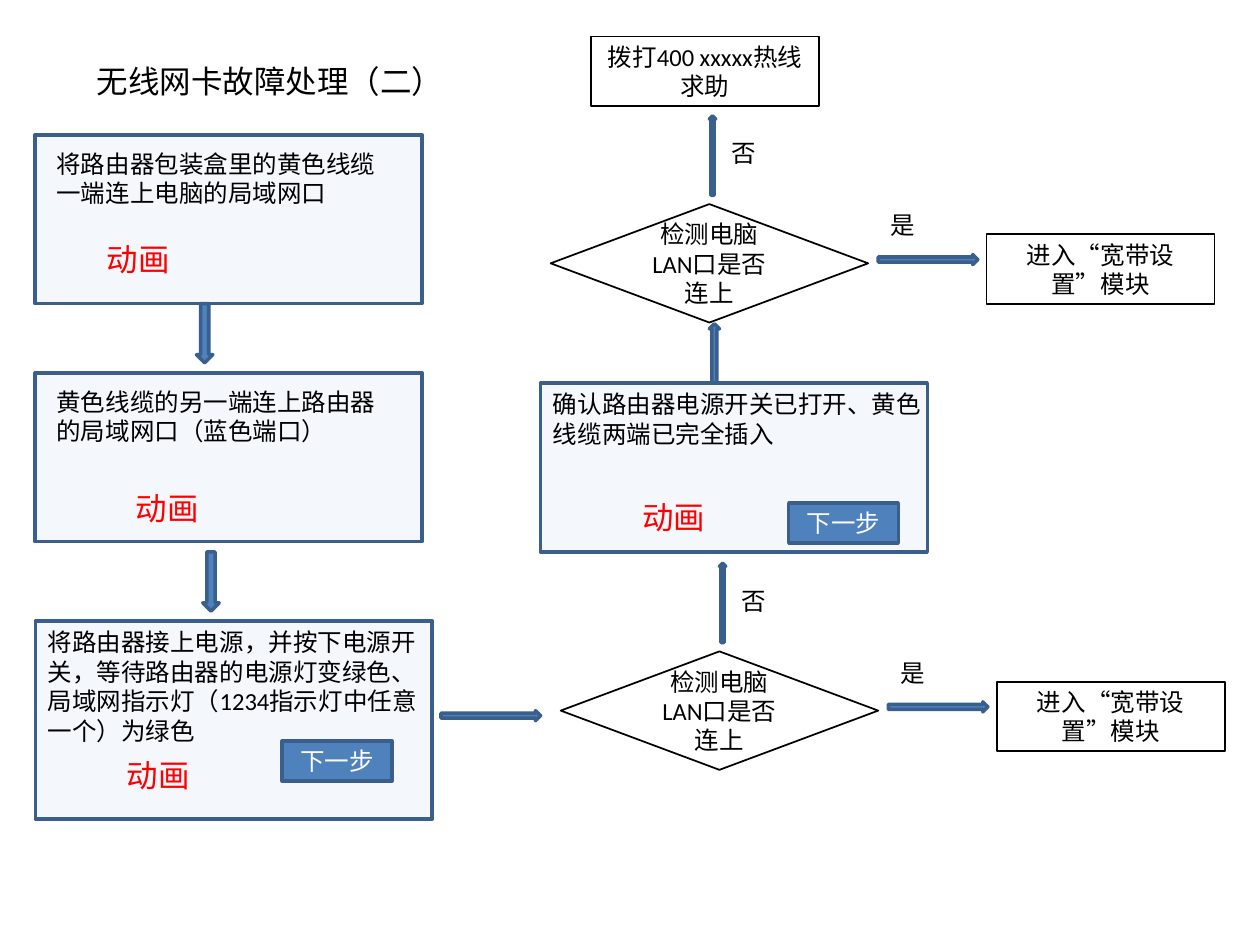
from pptx import Presentation
from pptx.dml.color import RGBColor
from pptx.enum import shapes, text
from pptx.oxml.ns import qn
from pptx.util import Inches, Pt
from lxml import etree

BLACK = RGBColor(0x00, 0x00, 0x00)
WHITE = RGBColor(0xFF, 0xFF, 0xFF)
RED = RGBColor(0xFF, 0x00, 0x00)
BLUE = RGBColor(0x4F, 0x81, 0xBD)
DARK_BLUE = RGBColor(0x3A, 0x5F, 0x8C)
PALE_BLUE = RGBColor(0xC6, 0xD9, 0xF1)
KIND = shapes.MSO_SHAPE

prs = Presentation()
prs.slide_width, prs.slide_height = Inches(10), Inches(7.5)
s = prs.slides.add_slide(prs.slide_layouts[6])


def add_box(kind, x, y, w, h, label="", fill=BLUE, line=DARK_BLUE, width=2, color=WHITE):
    sp = s.shapes.add_shape(kind, Inches(x), Inches(y), Inches(w), Inches(h))
    sp.shadow.inherit = False
    sp.fill.solid()
    sp.fill.fore_color.rgb = fill
    sp.line.color.rgb = line
    sp.line.width = Pt(width)
    if label:
        tf = sp.text_frame
        tf.vertical_anchor = text.MSO_ANCHOR.MIDDLE
        p = tf.paragraphs[0]
        p.text = label
        p.alignment = text.PP_ALIGN.CENTER
        p.font.size, p.font.name = Pt(14), "Calibri"
        p.font.color.rgb = color
    return sp


def add_text(x, y, w, h, label, size=14, color=BLACK):
    tf = s.shapes.add_textbox(Inches(x), Inches(y), Inches(w), Inches(h)).text_frame
    tf.word_wrap = True
    tf.auto_size = text.MSO_AUTO_SIZE.SHAPE_TO_FIT_TEXT
    p = tf.paragraphs[0]
    p.text = label
    p.font.size, p.font.name = Pt(size), "Calibri"
    p.font.color.rgb = color


add_text(0.67, 0.44, 3.62, 0.4, "无线网卡故障处理（二）", size=18)

# Steps: panel, instruction, animation mark
steps = [
    ((0.28, 1.07, 3.07, 1.34), (0.35, 1.13, 2.83, 0.57), (0.75, 1.86),
     "将路由器包装盒里的黄色线缆一端连上电脑的局域网口"),
    ((0.28, 2.96, 3.07, 1.34), (0.35, 3.02, 2.83, 0.57), (0.98, 3.83),
     "黄色线缆的另一端连上路由器的局域网口（蓝色端口）"),
    ((0.28, 4.93, 3.15, 1.57), (0.28, 4.93, 3.15, 1.04), (0.91, 5.95),
     "将路由器接上电源，并按下电源开关，等待路由器的电源灯变绿色、"
     "局域网指示灯（1234指示灯中任意一个）为绿色"),
    ((4.29, 3.04, 3.07, 1.34), (4.29, 3.04, 3.15, 0.57), (5, 3.9),
     "确认路由器电源开关已打开、黄色线缆两端已完全插入"),
]
for panel, text_area, (mark_x, mark_y), instruction in steps:
    sp = add_box(KIND.RECTANGLE, *panel, fill=PALE_BLUE)
    panel_color = sp.fill._xPr.find(qn("a:solidFill"))[0]
    etree.SubElement(panel_color, qn("a:alpha")).set("val", "19000")
    add_text(*text_area, instruction)
    add_text(mark_x, mark_y, 0.94, 0.4, "动画", size=18, color=RED)

for x, y in [(2.24, 5.88), (6.26, 3.99)]:
    add_box(KIND.RECTANGLE, x, y, 0.87, 0.32, "下一步")

# Decisions: diamond with a "yes" branch to the right and a "no" branch upwards
outlined = dict(fill=WHITE, line=BLACK, width=1, color=BLACK)
for x, y in [(4.37, 1.62), (4.45, 5.17)]:
    add_box(KIND.DIAMOND, x, y, 2.52, 0.94, "检测电脑LAN口是否连上", **outlined)
    add_text(x + 2.6, y, 0.79, 0.34, "是")
    add_box(KIND.RIGHT_ARROW, x + 2.6, y + 0.4, 0.79, 0.08)
    add_box(KIND.FLOWCHART_PROCESS, x + 3.46, y + 0.24, 1.81, 0.55,
            "进入“宽带设置”模块", **outlined)
    add_text(x + 1.34, y - 0.57, 0.79, 0.34, "否")
    add_box(KIND.UP_ARROW, x + 1.26, y - 0.7, 0.05, 0.63)

add_box(KIND.FLOWCHART_PROCESS, 4.69, 0.29, 1.81, 0.55, "拨打400 xxxxx热线求助", **outlined)

# Arrows between steps
add_box(KIND.DOWN_ARROW, 1.56, 2.41, 0.13, 0.47)
add_box(KIND.DOWN_ARROW, 1.61, 4.38, 0.13, 0.47)
add_box(KIND.RIGHT_ARROW, 3.5, 5.64, 0.79, 0.08)
add_box(KIND.UP_ARROW, 5.63, 2.57, 0.08, 0.47)

prs.save("out.pptx")
